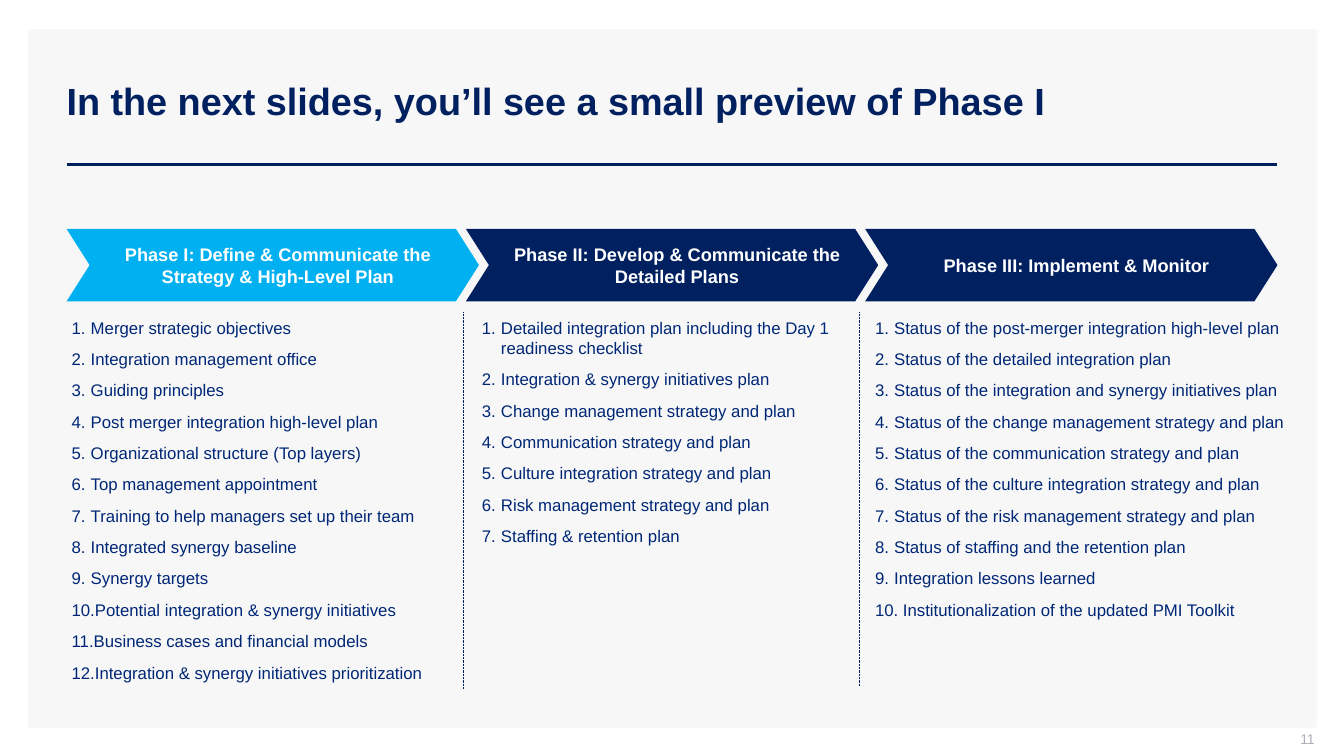
from lxml import etree
from pptx import Presentation
from pptx.dml.color import RGBColor
from pptx.enum.dml import MSO_LINE
from pptx.enum.shapes import MSO_CONNECTOR, MSO_SHAPE
from pptx.enum.text import MSO_ANCHOR as Anchor, MSO_AUTO_SIZE as AutoSize, PP_ALIGN as Align
from pptx.oxml.ns import qn
from pptx.util import Inches, Pt

NAVY, SKY, TEXT_BLUE = "002060", "00B0F0", "002776"
PANEL_GREY, NUMBER_GREY, WHITE = "F7F7F7", "ADAFBB", "FFFFFF"

TOP = 3.1
PHASES = [
    # heading, fill, list left, list width, list height, left inset, items
    ("Phase I: Define & Communicate the Strategy & High-Level Plan", SKY, 0.71, 3.89, 3.76, 0, [
        "Merger strategic objectives",
        "Integration management office",
        "Guiding principles",
        "Post merger integration high-level plan",
        "Organizational structure (Top layers)",
        "Top management appointment",
        "Training to help managers set up their team",
        "Integrated synergy baseline",
        "Synergy targets",
        "Potential integration & synergy initiatives",
        "Business cases and financial models",
        "Integration & synergy initiatives prioritization",
    ]),
    ("Phase II: Develop & Communicate the Detailed Plans", NAVY, 4.68, 3.78, 2.39, 0.1, [
        "Detailed integration plan including the Day 1 readiness checklist",
        "Integration & synergy initiatives plan",
        "Change management strategy and plan",
        "Communication strategy and plan",
        "Culture integration strategy and plan",
        "Risk management strategy and plan",
        "Staffing & retention plan",
    ]),
    ("Phase III: Implement & Monitor", NAVY, 8.58, 4.32, 3.13, 0.1, [
        "Status of the post-merger integration high-level plan",
        "Status of the detailed integration plan",
        "Status of the integration and synergy initiatives plan",
        "Status of the change management strategy and plan",
        "Status of the communication strategy and plan",
        "Status of the culture integration strategy and plan",
        "Status of the risk management strategy and plan",
        "Status of staffing and the retention plan",
        "Integration lessons learned",
        " Institutionalization of the updated PMI Toolkit",
    ]),
]


def color(hex_text):
    return RGBColor.from_string(hex_text)


class PhaseSlide:
    """Holds the style and the current slide."""

    font_name = "Arial"

    def __init__(self, deck):
        self.page = deck.slides.add_slide(deck.slide_layouts[5])
        self.shapes = self.page.shapes

    def style(self, para, size, ink, bold=False, align=Align.LEFT):
        para.alignment = align
        for span in para.runs:
            span.font.name = self.font_name
            span.font.size = Pt(size)
            span.font.bold = bold
            span.font.color.rgb = color(ink)

    def frame(self, shape, insets, anchor=Anchor.TOP):
        frame = shape.text_frame
        frame.word_wrap = True
        frame.auto_size = AutoSize.NONE
        frame.vertical_anchor = anchor
        (frame.margin_left, frame.margin_top,
         frame.margin_right, frame.margin_bottom) = map(Inches, insets)
        return frame

    def title(self, text, left, top, width, height):
        box = self.shapes.title
        box.left, box.top, box.width, box.height = map(Inches, (left, top, width, height))
        frame = self.frame(box, (0.1, 0.05, 0.1, 0.05), Anchor.MIDDLE)
        frame.text = text
        self.style(frame.paragraphs[0], 27, NAVY, bold=True)

    def block(self, kind, left, top, width, height, fill):
        shape = self.shapes.add_shape(kind, *map(Inches, (left, top, width, height)))
        shape.shadow.inherit = False
        shape.fill.solid()
        shape.fill.fore_color.rgb = color(fill)
        shape.line.fill.background()
        return shape

    def panel(self, *place):
        panel = self.block(MSO_SHAPE.RECTANGLE, *place, PANEL_GREY)
        # Send behind the title
        panel.element.getparent().insert(2, panel.element)

    def chevron(self, text, left, fill):
        shape = self.block(MSO_SHAPE.CHEVRON, left, 2.27, 4.09, 0.72, fill)
        shape.adjustments[0] = 0.318
        frame = self.frame(shape, (0.1, 0.05, 0, 0.05), Anchor.MIDDLE)
        frame.text = text
        self.style(frame.paragraphs[0], 13, WHITE, bold=True, align=Align.CENTER)

    def text(self, text, left, top, width, height, size, ink, align):
        box = self.shapes.add_textbox(*map(Inches, (left, top, width, height)))
        frame = self.frame(box, (0.1, 0, 0, 0.05), Anchor.MIDDLE)
        frame.text = text
        self.style(frame.paragraphs[0], size, ink, align=align)

    def numbered_list(self, items, left, width, height, inset):
        box = self.shapes.add_textbox(*map(Inches, (left, TOP, width, height)))
        frame = self.frame(box, (inset, 0.05, 0.1, 0.05))
        frame.auto_size = AutoSize.SHAPE_TO_FIT_TEXT
        frame.text = "\n".join(items)
        for index, para in enumerate(frame.paragraphs):
            para.space_before = Pt(4 if index else 0)
            para.space_after = Pt(4)
            props = para._p.get_or_add_pPr()
            props.set("marL", str(Inches(0.19)))
            props.set("indent", str(Inches(-0.19)))
            etree.SubElement(props, qn("a:buFont"), typeface="+mj-lt")
            etree.SubElement(props, qn("a:buAutoNum"), type="arabicPeriod")
            self.style(para, 12, TEXT_BLUE)

    def line(self, x1, y1, x2, y2, weight, dash=None):
        line = self.shapes.add_connector(MSO_CONNECTOR.STRAIGHT, *map(Inches, (x1, y1, x2, y2)))
        line.line.color.rgb = color(NAVY)
        line.line.width = Pt(weight)
        if dash:
            line.line.dash_style = dash
        etree.SubElement(line.element.spPr, qn("a:effectLst"))


def main():
    deck = Presentation()
    deck.slide_width, deck.slide_height = Inches(13.33), Inches(7.5)
    slide = PhaseSlide(deck)

    # Panel, title and rule
    slide.panel(0.28, 0.29, 12.78, 6.93)
    slide.title("In the next slides, you’ll see a small preview of Phase I", 0.56, 0.4, 11.41, 1.19)
    slide.line(0.66, 1.63, 12.67, 1.63, 2)

    # Phases: chevron with its numbered list
    for index, (heading, fill, left, width, height, inset, items) in enumerate(PHASES):
        slide.chevron(heading, 0.66 + 3.96 * index, fill)
        slide.numbered_list(items, left, width, height, inset)

    # Column dividers
    for x, bottom in ((4.6, 6.84), (8.52, 6.8)):
        slide.line(x, TOP, x, bottom, 0.5, MSO_LINE.ROUND_DOT)

    # Page number
    slide.text("11", 10.04, 7.25, 3, 0.21, 10, NUMBER_GREY, Align.RIGHT)

    deck.save("out.pptx")


if __name__ == "__main__":
    main()
